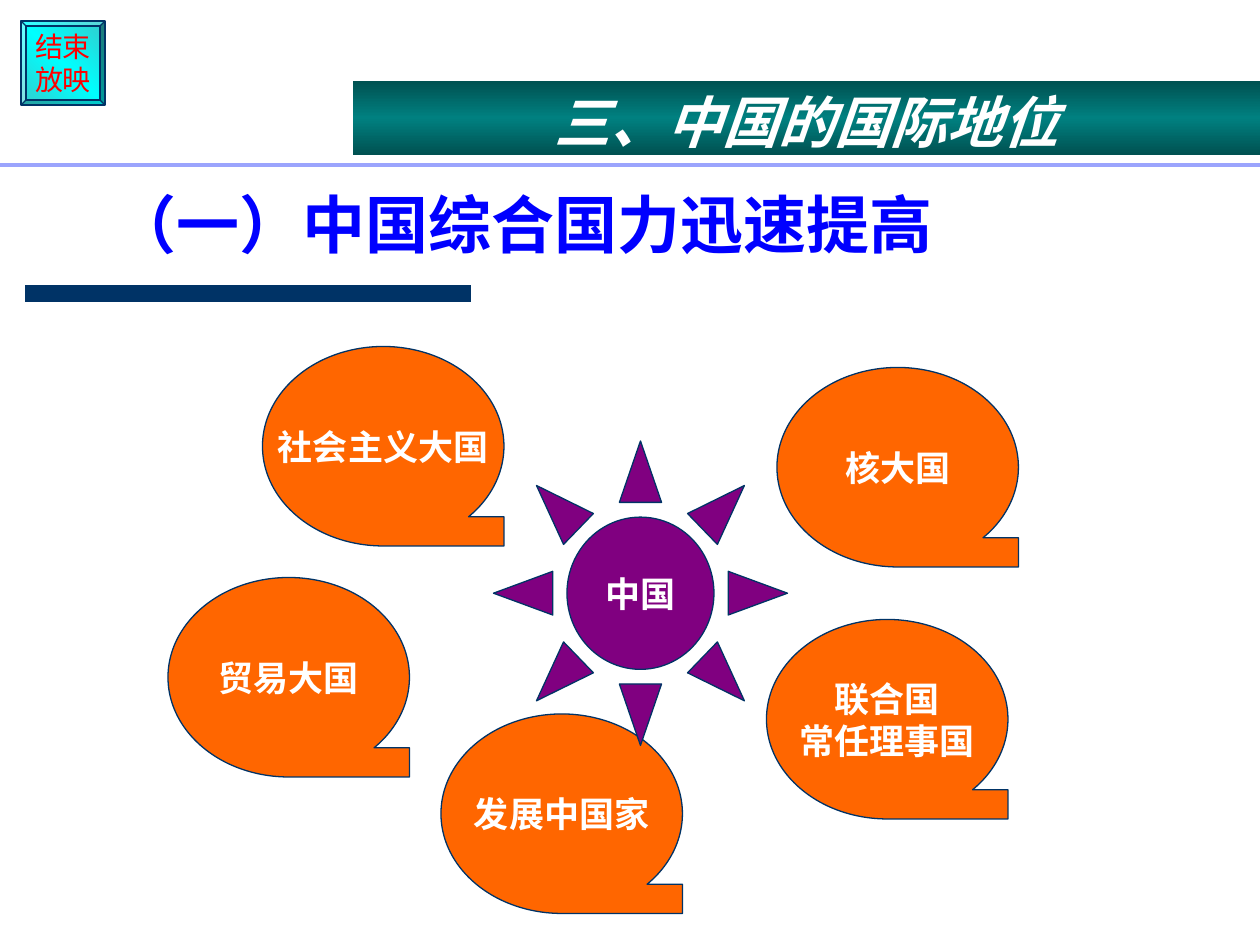
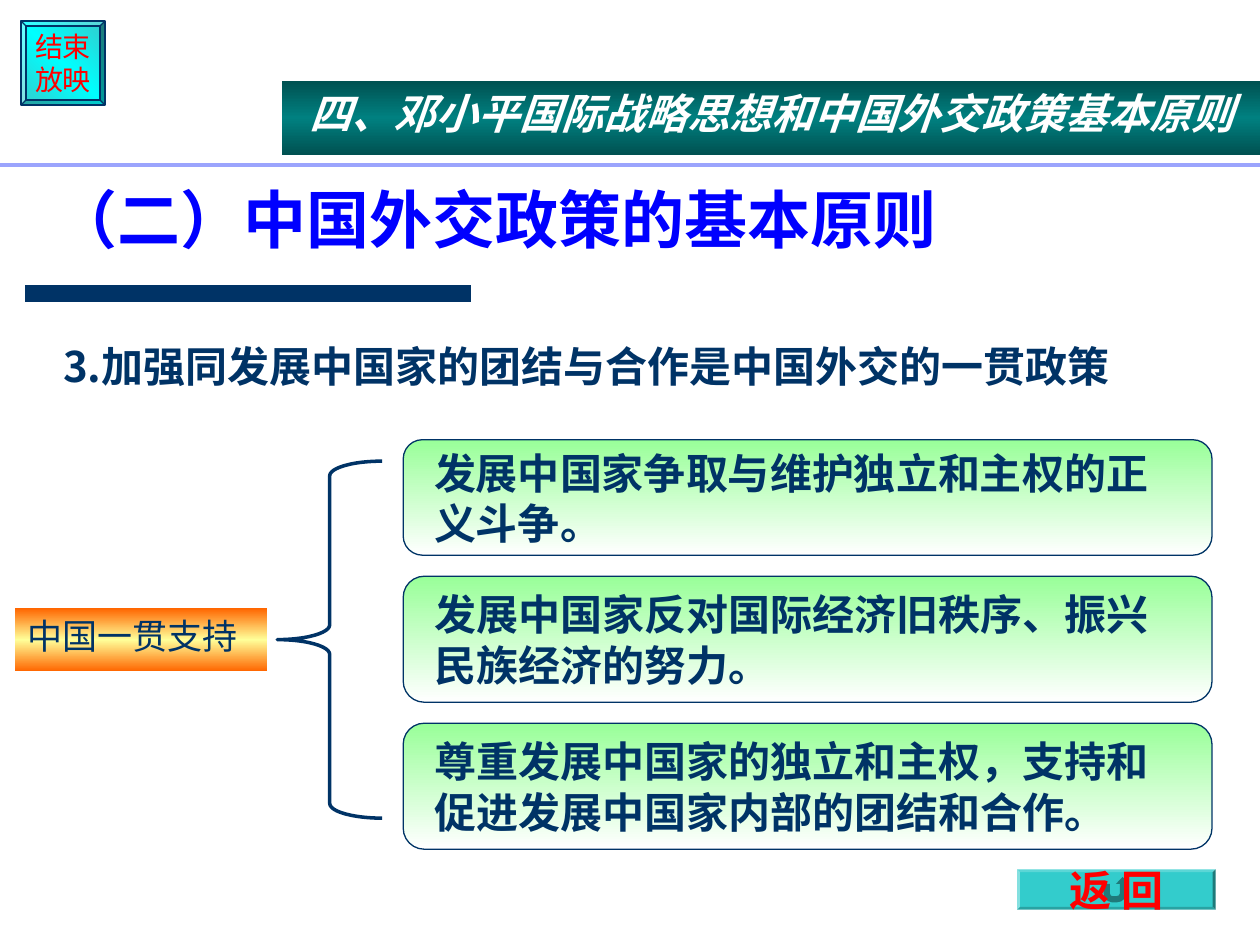
from dataclasses import dataclass

from lxml.etree import SubElement
from pptx import Presentation
from pptx.dml.color import RGBColor
from pptx.enum.shapes import MSO_CONNECTOR, MSO_SHAPE as Shape
from pptx.enum.text import MSO_ANCHOR as Anchor, MSO_AUTO_SIZE, PP_ALIGN as Align
from pptx.oxml.ns import qn
from pptx.util import Pt

# Content
POWERS = {
    "title": "（一）中国综合国力迅速提高",
    "title_box": (57.6, 105.8, 617, 47.5),
    "band": "三、中国的国际地位",
    "band_left": 201.6,
    "band_size": 32,
}
ROLES = [
    ("社会主义大国", 150, 198),
    ("联合国\n常任理事国", 438, 354),
    ("发展中国家", 252, 408),
    ("核大国", 444, 210),
    ("贸易大国", 96, 330),
]
PRINCIPLES = {
    "title": "（二）中国外交政策的基本原则",
    "title_box": (23.8, 72, 672.5, 78.5),
    "band": "四、邓小平国际战略思想和中国外交政策基本原则",
    "band_left": 161.3,
    "band_size": 24,
}
POLICY = "3.加强同发展中国家的团结与合作是中国外交的一贯政策"
SUPPORTED = [
    ("发展中国家争取与维护独立和主权的正义斗争。", 66),
    ("发展中国家反对国际经济旧秩序、振兴民族经济的努力。", 72),
    ("尊重发展中国家的独立和主权，支持和促进发展中国家内部的团结和合作。", 72),
]
RETURN_ARROW = [
    (0, 4), (3.6, 4), (3.6, 9.6), (4.1, 10.6), (5, 11), (7.2, 11), (8.6, 10.6),
    (9.2, 9.6), (9.2, 4), (7, 4), (10.8, 0), (14.4, 4), (12.8, 4), (12.8, 9.6),
    (12, 12.4), (10, 14), (7.2, 14.6), (5, 14.6), (2.4, 13.8), (0.6, 12), (0, 9.6),
]


@dataclass(frozen=True)
class Theme:
    font: str = "Arial"
    heading_font: str = "Noto Sans CJK SC"
    navy: str = "003366"
    blue: str = "0000FF"
    red: str = "FF0000"
    white: str = "FFFFFF"
    orange: str = "FF6600"
    purple: str = "800080"
    rule: str = "9BA4FD"
    teal: str = "33CCCC"
    dark_teal: str = "1F7A7A"
    band_fill: tuple = ("005151", "008080", "005151")
    button_fill: tuple = ("33CCCC", "00FFFF", "33CCCC")
    label_fill: tuple = ("FF6600", "FFFF99", "FF6600")
    card_fill: tuple = ("99FF99", "FFFFFF")
    title_size: int = 36
    text_size: int = 24
    label_size: int = 20
    button_size: int = 16


THEME = Theme()
WIDTH, HEIGHT = 720, 540


# Drawing helpers
def rgb(value):
    return RGBColor.from_string(value)


def set_fill(shape, fill, angle=90):
    if fill is None:
        shape.fill.background()
    elif isinstance(fill, str):
        shape.fill.solid()
        shape.fill.fore_color.rgb = rgb(fill)
    else:
        shape.fill.gradient()
        shape.fill.gradient_angle = 360 - angle
        stops = shape._element.spPr.find(qn("a:gradFill")).find(qn("a:gsLst"))
        for stop in list(stops):
            stops.remove(stop)
        for index, color in enumerate(fill):
            position = 100000 * index // (len(fill) - 1)
            stop = SubElement(stops, qn("a:gs"), pos=str(position))
            SubElement(stop, qn("a:srgbClr"), val=color)


def style(shape, fill, line=None, width=0.75, angle=90):
    shape.shadow.inherit = False
    set_fill(shape, fill, angle)
    if line:
        shape.line.color.rgb = rgb(line)
        shape.line.width = Pt(width)
    else:
        shape.line.fill.background()


def add_shape(page, kind, box, fill, line=None, width=0.75, angle=90, adjust=None):
    shape = page.shapes.add_shape(kind, *map(Pt, box))
    style(shape, fill, line, width, angle)
    if adjust is not None:
        shape.adjustments[0] = adjust
    return shape


def write(shape, text, size, color, bold=True, italic=False, font=THEME.font,
          align=Align.CENTER, anchor=Anchor.MIDDLE, wrap=False,
          before=0, spacing=1.0, insets=(7.2, 7.2)):
    frame = shape.text_frame
    frame.text = text
    frame.auto_size = MSO_AUTO_SIZE.NONE
    frame.word_wrap = wrap
    frame.vertical_anchor = anchor
    frame.margin_left, frame.margin_right = map(Pt, insets)
    frame.margin_top = frame.margin_bottom = Pt(3.6)
    for para in frame.paragraphs:
        para.alignment = align
        para.space_before = Pt(before)
        para.line_spacing = spacing
        for span in para.runs:
            span.font.name = font
            span.font.size = Pt(size)
            span.font.bold = bold
            span.font.italic = italic
            span.font.color.rgb = rgb(color)


def place(shape, box):
    shape.left, shape.top, shape.width, shape.height = map(Pt, box)


def add_line(page, left, right, y, color, width):
    line = page.shapes.add_connector(
        MSO_CONNECTOR.STRAIGHT, Pt(left), Pt(y), Pt(right), Pt(y))
    line.line.color.rgb = rgb(color)
    line.line.width = Pt(width)
    SubElement(line._element.spPr, qn("a:effectLst"))


# Parts shared by both slides
def start_page(deck, layout, content):
    page = deck.slides.add_slide(deck.slide_layouts[layout])
    title = page.shapes.title
    place(title, content["title_box"])
    write(title, content["title"], THEME.title_size, THEME.blue,
          font=THEME.heading_font, align=Align.LEFT, anchor=Anchor.BOTTOM,
          wrap=True, spacing=0.9)

    add_line(page, 14.4, 269.3, 167.8, THEME.navy, 10)
    add_line(page, 0, WIDTH, 94.3, THEME.rule, 1.75)

    button = add_shape(page, Shape.BEVEL, (12, 12, 48, 48), THEME.button_fill,
                       THEME.navy, angle=135, adjust=0.06)
    write(button, "结束\n放映", THEME.button_size, THEME.red, bold=False)

    left, size = content["band_left"], content["band_size"]
    band = add_shape(page, Shape.RECTANGLE, (left, 46.2, WIDTH - left, 42.4),
                     THEME.band_fill)
    write(band, content["band"], size, THEME.white, italic=True,
          anchor=Anchor.TOP, wrap=True, before=size * 0.625)
    return page


# Slide 1: roles around the sun
def build_powers(deck):
    page = start_page(deck, 5, POWERS)
    for role, left, top in ROLES:
        bubble = add_shape(page, Shape.FLOWCHART_SEQUENTIAL_ACCESS_STORAGE,
                           (left, top, 138, 114), THEME.orange, THEME.navy)
        write(bubble, role, THEME.label_size, THEME.white)
    sun = add_shape(page, Shape.SUN, (282, 252, 168, 174), THEME.purple,
                    THEME.navy, adjust=0.25)
    write(sun, "中国", THEME.label_size, THEME.white)


# Slide 2: what China supports
def build_principles(deck):
    page = start_page(deck, 1, PRINCIPLES)
    policy = page.placeholders[1]
    place(policy, (28.8, 190.8, 666, 36))
    write(policy, POLICY, THEME.text_size, THEME.navy, font=THEME.heading_font,
          align=Align.JUSTIFY, anchor=Anchor.TOP, wrap=True, before=15)
    properties = policy.text_frame.paragraphs[0]._p.get_or_add_pPr()
    properties.set("marL", "0")
    properties.set("indent", "0")
    SubElement(properties, qn("a:buNone"))

    label = add_shape(page, Shape.RECTANGLE, (8.6, 347.6, 144, 36),
                      THEME.label_fill)
    write(label, "中国一贯支持", THEME.label_size, THEME.navy, bold=False,
          align=Align.LEFT, anchor=Anchor.TOP, wrap=True, before=5)
    add_shape(page, Shape.LEFT_BRACE, (158.4, 263.5, 60, 204), None,
              THEME.navy, 2, adjust=0.14)

    top, gap = 251.3, 12
    for text, height in SUPPORTED:
        card = add_shape(page, Shape.ROUNDED_RECTANGLE,
                         (230.4, top, 462.2, height), THEME.card_fill,
                         THEME.navy, adjust=0.167)
        write(card, text, THEME.text_size, THEME.navy, align=Align.LEFT,
              wrap=True, insets=(14.4, 28))
        top += height + gap
    add_return_button(page)


def add_return_button(page):
    add_shape(page, Shape.BEVEL, (581.2, 496.8, 113.4, 23), THEME.teal,
              adjust=0.07)
    # Outline coordinates are in tenths of a point
    points = [((630.7 + x) * 10, (501.1 + y) * 10) for x, y in RETURN_ARROW]
    outline = page.shapes.build_freeform(*points[0], scale=Pt(0.1))
    outline.add_line_segments(points[1:], close=True)
    arrow = outline.convert_to_shape()
    style(arrow, THEME.dark_teal)
    write(arrow, "返 回", THEME.text_size, THEME.red)


def main():
    deck = Presentation()
    deck.slide_width, deck.slide_height = Pt(WIDTH), Pt(HEIGHT)
    build_powers(deck)
    build_principles(deck)
    deck.save("out.pptx")


if __name__ == "__main__":
    main()
